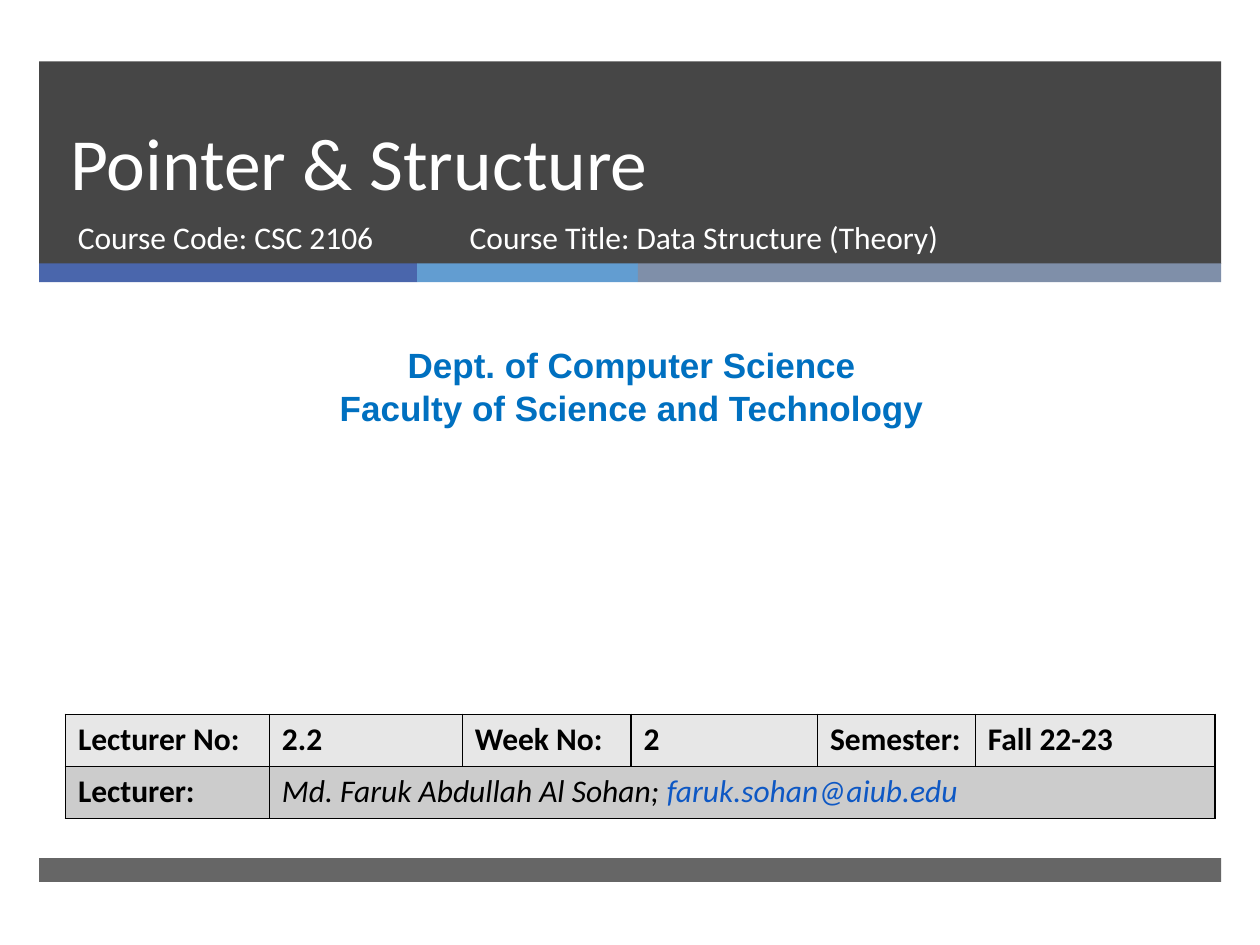
from dataclasses import dataclass
from itertools import accumulate

from lxml import etree
from pptx import Presentation
from pptx.dml.color import RGBColor
from pptx.enum import shapes, text
from pptx.oxml import ns
from pptx.util import Cm, Pt

WHITE = RGBColor(0xFF, 0xFF, 0xFF)
BLACK = RGBColor(0x00, 0x00, 0x00)
CHARCOAL = RGBColor(0x26, 0x26, 0x26)
INDIGO = RGBColor(0x4A, 0x66, 0xAC)
SKY = RGBColor(0x62, 0x9D, 0xD1)
SLATE = RGBColor(0x7F, 0x8F, 0xA9)
DEPT_BLUE = RGBColor(0x00, 0x70, 0xC0)
EMAIL_BLUE = RGBColor(0x0E, 0x58, 0xC4)
LIGHT_GREY = RGBColor(0xE7, 0xE7, 0xE7)
MID_GREY = RGBColor(0xCC, 0xCC, 0xCC)

BAND_LEFT, BAND_WIDTH = 0.79, 23.83
STRIPE_TOP, STRIPE_HEIGHT = 5.31, 0.38
COLUMN_WIDTHS = (4.11, 3.89, 3.4, 3.76, 3.18, 4.83)
ROW_HEIGHT = 1.05
LECTURE_FACTS = ("Lecturer No:", "2.2", "Week No:", "2", "Semester:", "Fall 22-23")


@dataclass(frozen=True)
class Box:
    """A rectangle on the slide, in centimetres."""
    left: float
    top: float
    width: float
    height: float

    def emu(self) -> tuple:
        return Cm(self.left), Cm(self.top), Cm(self.width), Cm(self.height)


@dataclass(frozen=True)
class Stripe:
    width: float
    color: RGBColor


STRIPES = (Stripe(7.62, INDIGO), Stripe(4.45, SKY), Stripe(11.76, SLATE))


def add_bar(slide, box: Box, color: RGBColor, opacity: int = 100) -> None:
    bar = slide.shapes.add_shape(shapes.MSO_SHAPE.RECTANGLE, *box.emu())
    bar.shadow.inherit = False
    bar.line.fill.background()
    bar.fill.solid()
    bar.fill.fore_color.rgb = color
    if opacity < 100:
        srgb = bar.fill._xPr.find(".//" + ns.qn("a:srgbClr"))
        etree.SubElement(srgb, ns.qn("a:alpha"), val=str(opacity * 1000))


def write(paragraph, words: str, *, size: float = 18, font: str = "Calibri",
          color: RGBColor = BLACK, bold: bool = False, italic: bool = False) -> None:
    run = paragraph.add_run()
    run.text = words
    run.font.size = Pt(size)
    run.font.name = font
    run.font.color.rgb = color
    run.font.bold = bold
    run.font.italic = italic


def add_text(slide, box: Box, *lines: str, align=text.PP_ALIGN.LEFT,
             anchor=text.MSO_ANCHOR.TOP, line_spacing=None, **style) -> None:
    frame = slide.shapes.add_textbox(*box.emu()).text_frame
    frame.word_wrap = True
    frame.vertical_anchor = anchor
    for number, line in enumerate(lines):
        paragraph = frame.add_paragraph() if number else frame.paragraphs[0]
        paragraph.alignment = align
        paragraph.line_spacing = line_spacing
        write(paragraph, line, **style)


def style_cell(cell, fill: RGBColor) -> None:
    """Fill the cell and draw a 1 pt black border on its four sides."""
    cell.fill.solid()
    cell.fill.fore_color.rgb = fill
    properties = cell._tc.get_or_add_tcPr()
    for place, side in enumerate(("lnL", "lnR", "lnT", "lnB")):
        border = etree.Element(ns.qn(f"a:{side}"), w=str(Pt(1)))
        solid = etree.SubElement(border, ns.qn("a:solidFill"))
        etree.SubElement(solid, ns.qn("a:srgbClr"), val=str(BLACK))
        properties.insert(place, border)


def add_lecture_table(slide) -> None:
    box = Box(1.32, 14.4, sum(COLUMN_WIDTHS), 2 * ROW_HEIGHT)
    table = slide.shapes.add_table(2, len(COLUMN_WIDTHS), *box.emu()).table
    table.first_row = table.horz_banding = False
    for column, width in zip(table.columns, COLUMN_WIDTHS):
        column.width = Cm(width)
    for row, fill in zip(table.rows, (LIGHT_GREY, MID_GREY)):
        row.height = Cm(ROW_HEIGHT)
        for cell in row.cells:
            style_cell(cell, fill)
    for cell, fact in zip(table.rows[0].cells, LECTURE_FACTS):
        write(cell.text_frame.paragraphs[0], fact, bold=True)

    write(table.cell(1, 0).text_frame.paragraphs[0], "Lecturer:", bold=True)
    lecturer = table.cell(1, 1)
    lecturer.merge(table.cell(1, len(COLUMN_WIDTHS) - 1))
    contact = lecturer.text_frame.paragraphs[0]
    write(contact, "Md. Faruk Abdullah Al Sohan; ", italic=True)
    write(contact, "faruk.sohan@aiub.edu", italic=True, color=EMAIL_BLUE)


def main() -> None:
    deck = Presentation()
    deck.slide_width, deck.slide_height = Cm(25.4), Cm(19.05)
    slide = deck.slides.add_slide(deck.slide_layouts[6])

    add_bar(slide, Box(BAND_LEFT, 1.24, BAND_WIDTH, 4.08), CHARCOAL, opacity=85)
    lefts = accumulate((stripe.width for stripe in STRIPES), initial=BAND_LEFT)
    for left, stripe in zip(lefts, STRIPES):
        add_bar(slide, Box(left, STRIPE_TOP, stripe.width, STRIPE_HEIGHT), stripe.color)
    add_bar(slide, Box(BAND_LEFT, 17.3, BAND_WIDTH, 0.48), CHARCOAL, opacity=70)

    add_text(slide, Box(1.17, 1.24, 21.69, 3.02), "Pointer & Structure", size=42,
             color=WHITE, anchor=text.MSO_ANCHOR.BOTTOM, line_spacing=Pt(46))
    add_text(slide, Box(1.32, 4.27, 7.75, 1.35), "Course Code: CSC 2106", color=WHITE)
    add_text(slide, Box(9.22, 4.27, 11.56, 1.35),
             "Course Title: Data Structure (Theory)", color=WHITE)
    add_text(slide, Box(0.2, 6.81, 25.07, 1.96), "Dept. of Computer Science",
             "Faculty of Science and Technology", size=20, font="Arial",
             color=DEPT_BLUE, bold=True, align=text.PP_ALIGN.CENTER)
    add_lecture_table(slide)
    deck.save("out.pptx")


if __name__ == "__main__":
    main()
